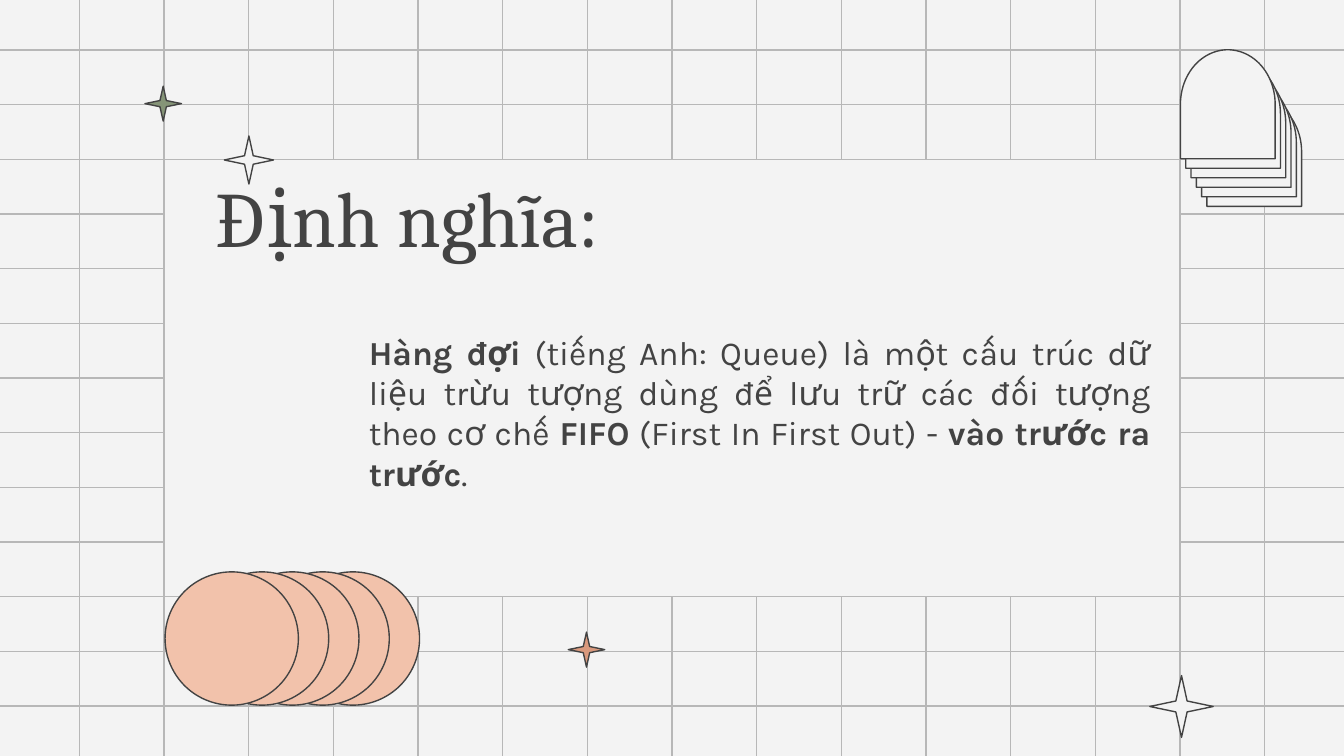
import pptx
import pptx.util
import pptx.dml.color
import pptx.enum.shapes
import pptx.enum.text
import pptx.oxml.ns
import lxml.etree

Cm = pptx.util.Cm
Pt = pptx.util.Pt
SHAPE = pptx.enum.shapes.MSO_SHAPE
ALIGN = pptx.enum.text.PP_ALIGN
ANCHOR = pptx.enum.text.MSO_ANCHOR

WIDTH, HEIGHT = 25.4, 14.29
COL, ROW = 1.6, 12.4 / 12
PAPER, GRID, INK = "F3F3F3", "B7B7B7", "434343"
PEACH, GREEN, ORANGE = "F2C2AB", "859477", "D9997D"


def rgb(color):
    """Return the colour for a hex string."""
    return pptx.dml.color.RGBColor.from_string(color)


def add_shape(s, kind, left, top, width, height, fill, line=INK):
    """Add a filled preset shape with a thin outline."""
    sp = s.shapes.add_shape(kind, Cm(left), Cm(top), Cm(width), Cm(height))
    sp.shadow.inherit = False
    sp.fill.solid()
    sp.fill.fore_color.rgb = rgb(fill)
    sp.line.color.rgb = rgb(line)
    sp.line.width = Pt(0.75)
    return sp


def add_line(s, x1, y1, x2, y2):
    """Add one straight grid line."""
    straight = pptx.enum.shapes.MSO_CONNECTOR.STRAIGHT
    line = s.shapes.add_connector(straight, Cm(x1), Cm(y1), Cm(x2), Cm(y2))
    line.line.color.rgb = rgb(GRID)
    line.line.width = Pt(0.75)
    lxml.etree.SubElement(line._element.spPr, pptx.oxml.ns.qn("a:effectLst"))


def add_grid(s, left, top, width, height):
    """Draw grid lines outwards from the centre of the box."""
    mid_x, mid_y = left + width / 2, top + height / 2
    for i in range(-7, 8):
        add_line(s, mid_x + i * COL, top, mid_x + i * COL, top + height)
    for i in range(-6, 7):
        add_line(s, left, mid_y + i * ROW, left + width, mid_y + i * ROW)


def add_arches(s, left, top, width, height):
    """Stack six upright arches, with the front one in the given box."""
    x = left + (width - height) / 2
    y = top + (height - width) / 2
    for i in reversed(range(6)):
        sp = add_shape(s, SHAPE.FLOWCHART_DELAY, x + i * 0.1, y + i * 0.18,
                       height, width, PAPER)
        sp.rotation = 270


def add_circles(s, left, top, width, height):
    """Spread five overlapping circles across the box, leftmost in front."""
    step = (width - height) / 4
    for i in reversed(range(5)):
        add_shape(s, SHAPE.OVAL, left + i * step, top, height, height, PEACH)


def add_star(s, left, top, width, height, fill):
    """Add a slim four-pointed star."""
    sp = add_shape(s, SHAPE.STAR_4_POINT, left, top, width, height, fill)
    sp.adjustments[0] = 0.125


def add_text(s, left, top, width, height, runs, font, size, align, anchor, indent=0):
    """Add a one-paragraph text box from (text, bold) runs."""
    tf = s.shapes.add_textbox(Cm(left), Cm(top), Cm(width), Cm(height)).text_frame
    tf.word_wrap = True
    tf.vertical_anchor = anchor
    tf.margin_top = tf.margin_bottom = tf.margin_right = Cm(0.25)
    tf.margin_left = Cm(0.25 + indent)
    p = tf.paragraphs[0]
    p.alignment = align
    p.font.name = font
    p.font.size = Pt(size)
    p.font.color.rgb = rgb(INK)
    for text, bold in runs:
        r = p.add_run()
        r.text = text
        r.font.bold = bold


def build_definition(s, left, top, width, height):
    """Lay out the definition slide in the box."""
    s.background.fill.solid()
    s.background.fill.fore_color.rgb = rgb(PAPER)
    add_grid(s, left - 0.1, top - 0.08, width + 0.2, height + 0.16)
    add_shape(s, SHAPE.RECTANGLE, left + width / 2 - 6 * COL,
              top + height / 2 - 4 * ROW, 12 * COL, 8 * ROW, PAPER, GRID)
    add_arches(s, left + 22.31, top + 0.94, 1.79, 2.06)
    add_star(s, left + 21.73, top + 12.77, 1.2, 1.17, PAPER)
    add_text(s, left + 1.89, top + 3.07, 11.63, 2.16, [("Định nghĩa:", False)],
             "Cambria", 42, ALIGN.CENTER, ANCHOR.BOTTOM)
    definition = [
        ("Hàng đợi", True),
        (" (tiếng Anh: Queue) là một cấu trúc dữ liệu trừu tượng dùng để "
         "lưu trữ các đối tượng theo cơ chế ", False),
        ("FIFO", True),
        (" (First In First Out) - ", False),
        ("vào trước ra trước", True),
        (".", False),
    ]
    add_text(s, left + 5.45, top + 6.02, 16.54, 5, definition,
             "Karla", 18, ALIGN.JUSTIFY, ANCHOR.TOP, indent=1.27)
    add_star(s, left + 4.24, top + 2.57, 0.93, 0.91, PAPER)
    add_circles(s, left + 3.12, top + 10.81, 4.81, 2.52)
    add_star(s, left + 2.74, top + 1.63, 0.69, 0.66, GREEN)
    add_star(s, left + 10.74, top + 11.95, 0.69, 0.66, ORANGE)


def main():
    """Build and save the presentation."""
    prs = pptx.Presentation()
    prs.slide_width, prs.slide_height = Cm(WIDTH), Cm(HEIGHT)
    s = prs.slides.add_slide(prs.slide_layouts[6])
    build_definition(s, 0, 0, WIDTH, HEIGHT)
    prs.save("out.pptx")


if __name__ == "__main__":
    main()
